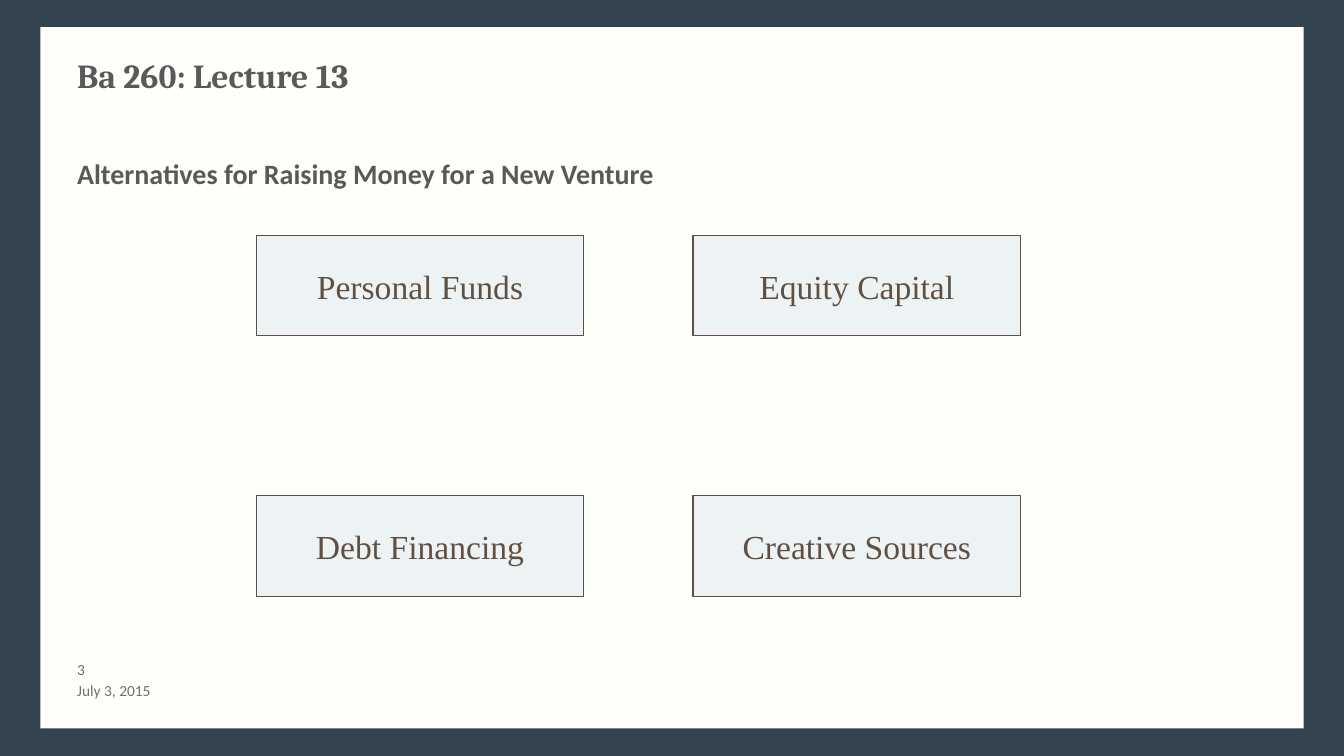
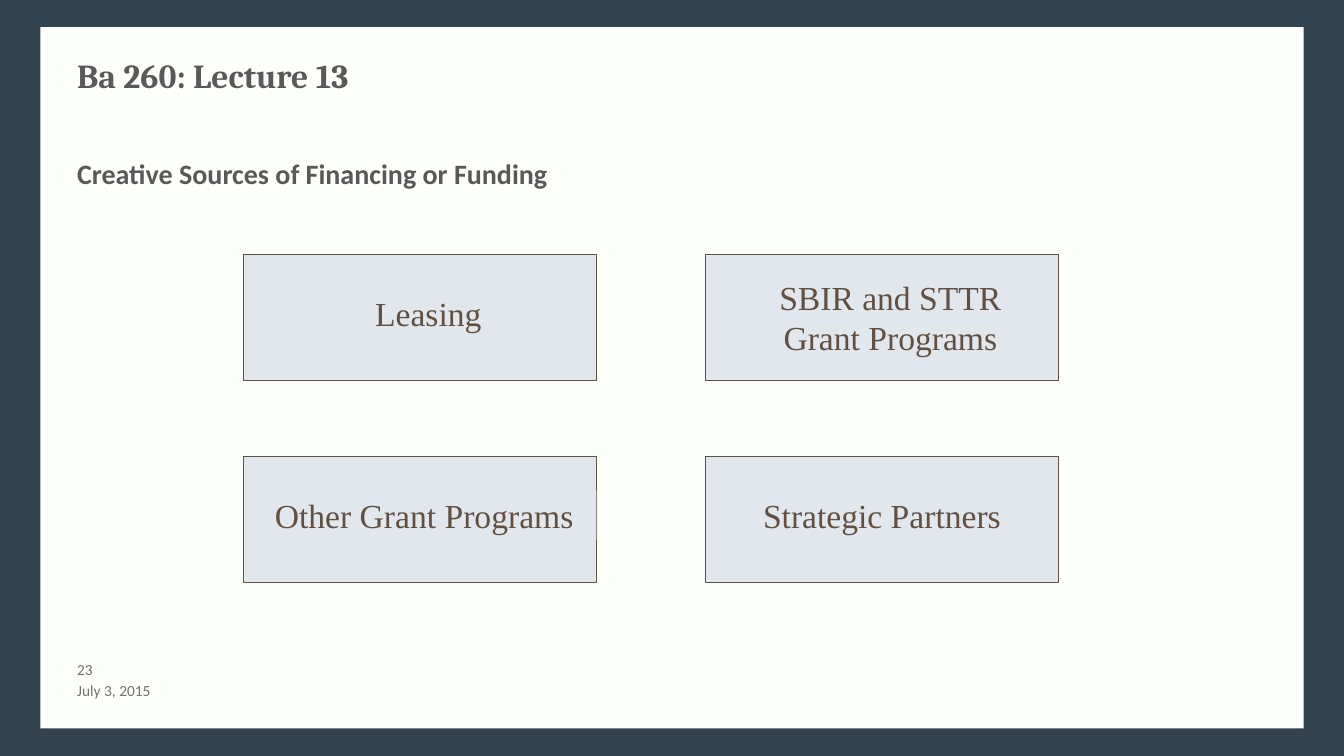
from pptx import Presentation
from pptx.dml.color import RGBColor
from pptx.enum import shapes, text
from pptx.util import Pt

NAVY = RGBColor(0x34, 0x43, 0x50)
IVORY = RGBColor(0xFD, 0xFF, 0xFB)
DARK = RGBColor(0x59, 0x59, 0x59)
GRAY = RGBColor(0x71, 0x71, 0x71)
BROWN = RGBColor(0x61, 0x50, 0x42)
PALE = RGBColor(0xED, 0xF3, 0xF4)
BLUE = RGBColor(0xE1, 0xE7, 0xEC)
TOP, MIDDLE = text.MSO_ANCHOR.TOP, text.MSO_ANCHOR.MIDDLE


def add_box(s, x, y, w, h, fill, line=None):
    sp = s.shapes.add_shape(shapes.MSO_SHAPE.RECTANGLE, Pt(x), Pt(y), Pt(w), Pt(h))
    sp.shadow.inherit = False
    sp.fill.solid()
    sp.fill.fore_color.rgb = fill
    if line is None:
        sp.line.fill.background()
    else:
        sp.line.color.rgb = line
        sp.line.width = Pt(0.75)
    return sp


def set_text(sp, words, font, size, color, bold=False, center=False,
             anchor=TOP, wrap=True, pad=3.6):
    tf = sp.text_frame
    tf.word_wrap = wrap
    tf.vertical_anchor = anchor
    tf.margin_top = tf.margin_bottom = Pt(pad)
    p = tf.paragraphs[0]
    p.text = words
    p.alignment = text.PP_ALIGN.CENTER if center else text.PP_ALIGN.LEFT
    p.font.name = font
    p.font.size = Pt(size)
    p.font.bold = bold
    p.font.color.rgb = color


prs = Presentation()
prs.slide_width, prs.slide_height = Pt(960), Pt(540)
bg = prs.slide_master.background.fill
bg.solid()
bg.fore_color.rgb = NAVY

# Shared frame: panel, title, heading, date and page number
slides = []
for heading, number in (("Alternatives for Raising Money for a New Venture", "3"),
                        ("Creative Sources of Financing or Funding", "23")):
    s = prs.slides.add_slide(prs.slide_layouts[6])
    add_box(s, 28.8, 19.4, 902.4, 501, IVORY)
    for words, y, w, h, font, size, color, bold, anchor, pad in (
            (heading, 108, 822, 82, "Calibri", 20, DARK, True, TOP, 3.6),
            ("Ba 260: Lecture 13", 36, 864, 54, "Cambria", 24, DARK, True, TOP, 3.6),
            ("July 3, 2015", 486, 192, 14.4, "Calibri", 11, GRAY, False, MIDDLE, 0),
            (number, 471.6, 38, 14.4, "Calibri", 11, GRAY, False, TOP, 0)):
        sp = s.shapes.add_textbox(Pt(48), Pt(y), Pt(w), Pt(h))
        set_text(sp, words, font, size, color, bold, anchor=anchor, pad=pad)
    slides.append(s)

# Slide 1: two by two grid of money sources
sources = ("Personal Funds", "Equity Capital", "Debt Financing", "Creative Sources")
for i, words in enumerate(sources):
    row, col = divmod(i, 2)
    sp = add_box(slides[0], 183 + 312 * col, 168 + 186 * row, 234, 72, PALE, BROWN)
    set_text(sp, words, "Times New Roman", 24, BROWN, center=True,
             anchor=MIDDLE, wrap=False)

# Slide 2: two by two grid, each label offset inside its frame
programs = (("Leasing", 42, 24, 180, 36),
            ("SBIR and STTR Grant Programs", 42, 12, 180, 66),
            ("Other Grant Programs", 6, 24, 246, 36),
            ("Strategic Partners", 24, 24, 204, 36))
for i, (words, dx, dy, w, h) in enumerate(programs):
    row, col = divmod(i, 2)
    x, y = 174 + 330 * col, 182 + 144 * row
    add_box(slides[1], x, y, 252, 90, BLUE, BROWN)
    sp = add_box(slides[1], x + dx, y + dy, w, h, BLUE)
    set_text(sp, words, "Times New Roman", 24, BROWN, center=True)

prs.save("out.pptx")
